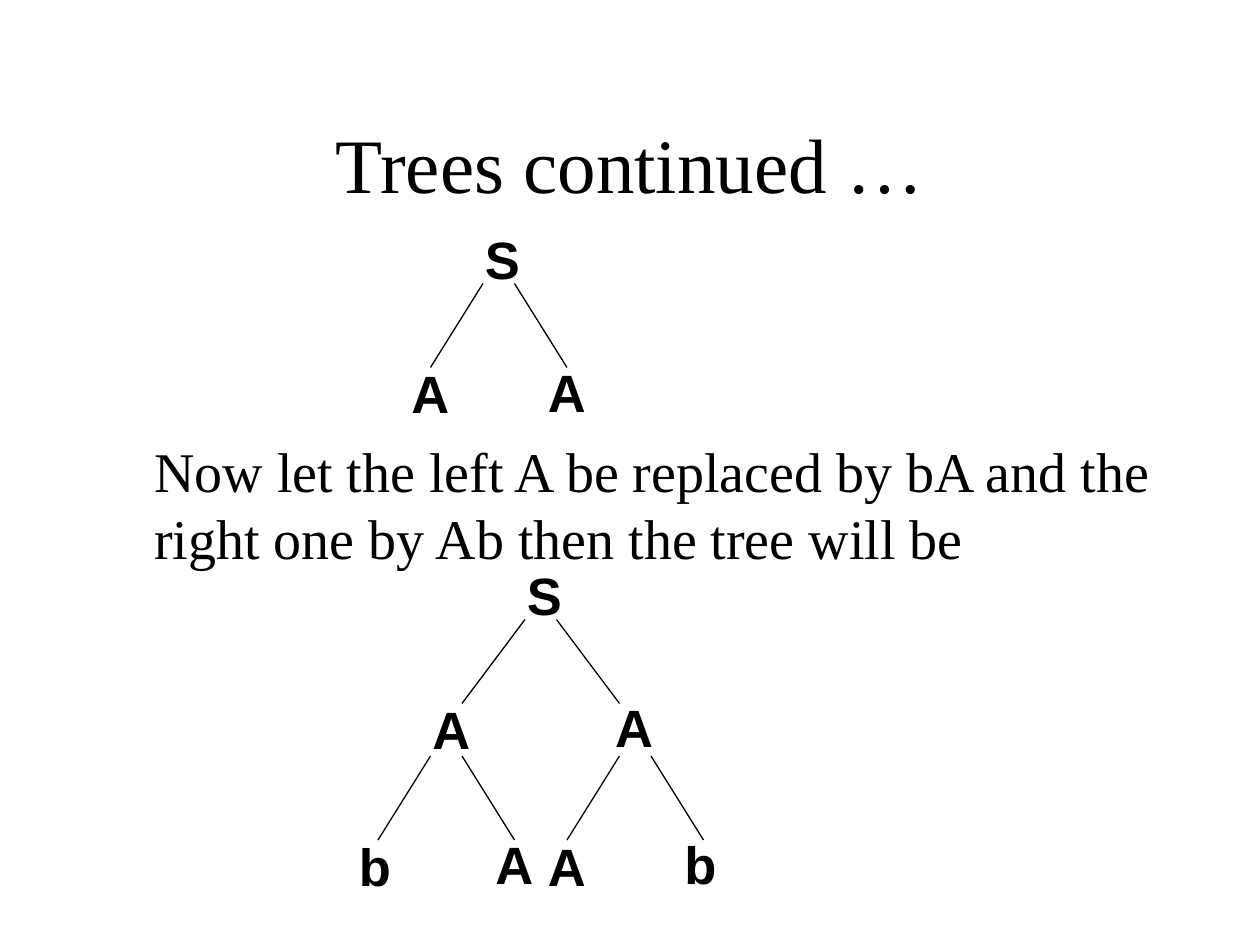
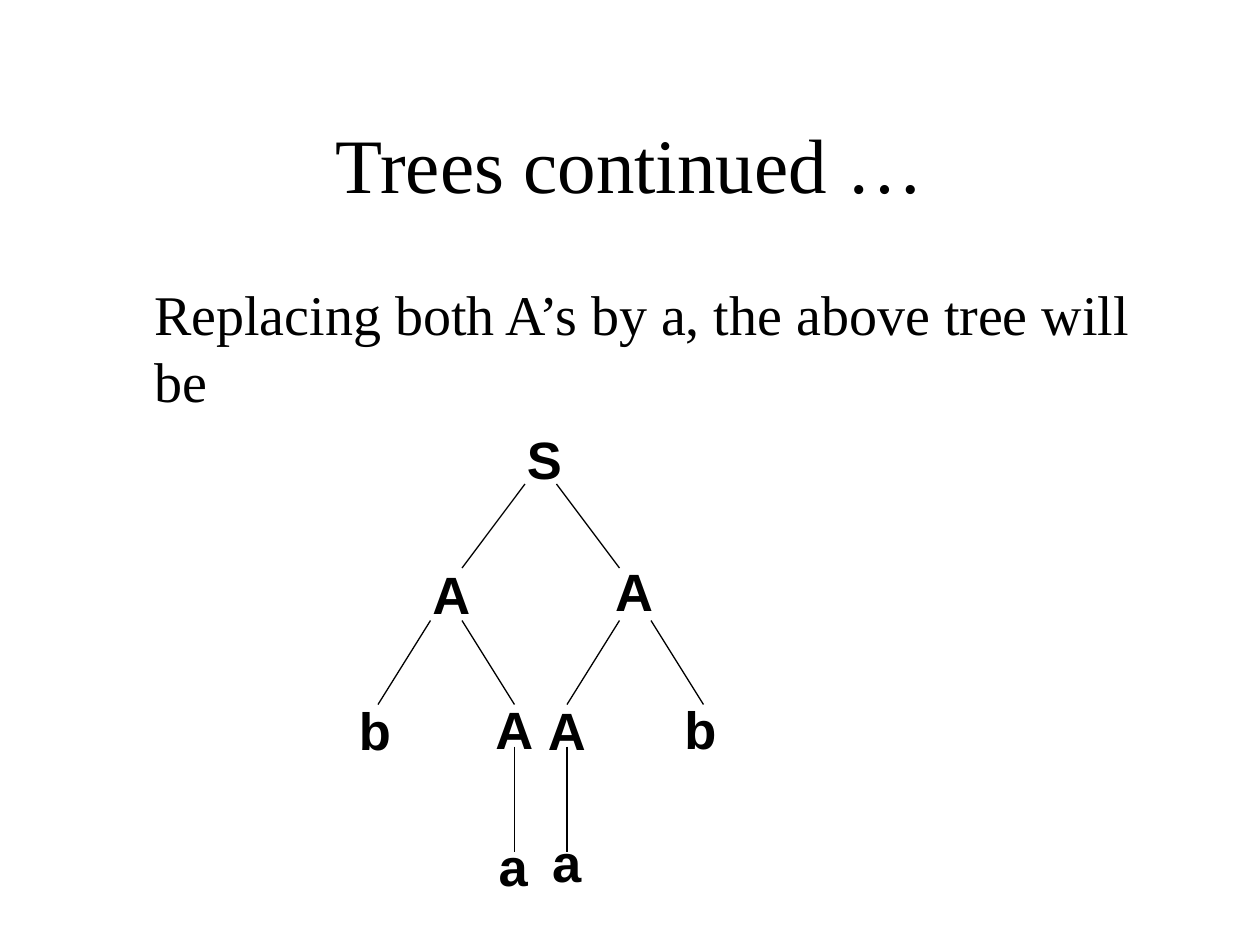
from dataclasses import dataclass

from lxml import etree
from pptx import Presentation
from pptx import util as u
from pptx.dml.color import RGBColor
from pptx.enum import shapes, text
from pptx.oxml import ns

COLS, ROWS = 120, 90
WIDE, HIGH = u.Inches(10), u.Inches(7.5)
INK = RGBColor(0, 0, 0)
PAPER = RGBColor(255, 255, 255)
SERIF, SANS = "Times New Roman", "Arial"
LEAD = 1.2


@dataclass(frozen=True)
class Style:
    font: str
    size: int
    bold: bool = False
    align: text.PP_ALIGN = text.PP_ALIGN.LEFT
    anchor: text.MSO_ANCHOR = text.MSO_ANCHOR.TOP


@dataclass(frozen=True)
class Node:
    label: str
    col: float
    row: float
    width: float = 11


@dataclass(frozen=True)
class Edge:
    col: float
    row: float
    run: float
    drop: float = 8


@dataclass(frozen=True)
class Tree:
    nodes: tuple[Node, ...]
    edges: tuple[Edge, ...]


TITLE = Style(SERIF, 44, align=text.PP_ALIGN.CENTER,
              anchor=text.MSO_ANCHOR.MIDDLE)
BODY = Style(SERIF, 32)
LABEL = Style(SANS, 30, bold=True)

SMALL = Tree(
    (Node("S", 0, 0), Node("A", -7, 12.8), Node("A", 6, 12.7)),
    (Edge(1, 6, -5), Edge(4, 6, 5)),
)
FULL = Tree(
    (Node("S", 0, 0), Node("A", -9, 12.8), Node("A", 8.4, 12.6),
     Node("b", -16, 25.8), Node("A", -3, 25.7),
     Node("A", 2, 25.8), Node("b", 15, 25.7)),
    (Edge(1, 6, -6), Edge(4, 6, 6),
     Edge(-8, 19, -5), Edge(-5, 19, 5),
     Edge(10, 19, -5), Edge(13, 19, 5)),
)
FINAL = Tree(
    FULL.nodes + (Node("a", -2.7, 38.7, 16), Node("a", 2.4, 38.4, 16)),
    FULL.edges + (Edge(0, 31, 0, 10), Edge(5, 31, 0, 10)),
)


def across(cols: float) -> int:
    return round(WIDE * cols / COLS)


def down(rows: float) -> int:
    return round(HIGH * rows / ROWS)


def write(slide, words: str, style: Style, col: float, row: float,
          width: float, height: float) -> None:
    box = slide.shapes.add_textbox(
        across(col), down(row), across(width), down(height))
    frame = box.text_frame
    frame.word_wrap = True
    frame.vertical_anchor = style.anchor
    para = frame.paragraphs[0]
    para.alignment = style.align
    para.line_spacing = u.Pt(style.size * LEAD)
    run = para.add_run()
    run.text = words
    run.font.name = style.font
    run.font.size = u.Pt(style.size)
    run.font.bold = style.bold
    run.font.color.rgb = INK


def join(slide, edge: Edge, col: float, row: float) -> None:
    left, top = col + edge.col, row + edge.row
    line = slide.shapes.add_connector(
        shapes.MSO_CONNECTOR.STRAIGHT, across(left), down(top),
        across(left + edge.run), down(top + edge.drop))
    line.line.color.rgb = INK
    line.line.width = u.Pt(0.75)
    etree.SubElement(line._element.spPr, ns.qn("a:effectLst"))


def plant(slide, tree: Tree, col: float, row: float) -> None:
    for edge in tree.edges:
        join(slide, edge, col, row)
    for node in tree.nodes:
        write(slide, node.label, LABEL, col + node.col, row + node.row,
              node.width, 7.2)


def begin(deck, words: str, row: float):
    slide = deck.slides.add_slide(deck.slide_layouts[6])
    slide.background.fill.solid()
    slide.background.fill.fore_color.rgb = PAPER
    write(slide, "Trees continued …", TITLE, 9, 8, 102, 15)
    write(slide, words, BODY, 13.5, row, 97.5, 14)
    return slide


def main() -> None:
    deck = Presentation()
    deck.slide_width, deck.slide_height = WIDE, HIGH

    slide = begin(deck, "Now let the left A be replaced by bA and the "
                  "right one by Ab then the tree will be", 41)
    plant(slide, SMALL, 45, 21)
    plant(slide, FULL, 49, 53)

    slide = begin(deck, "Replacing both A’s by a, the above tree will be", 26)
    plant(slide, FINAL, 49, 40.1)

    deck.save("out.pptx")


if __name__ == "__main__":
    main()
